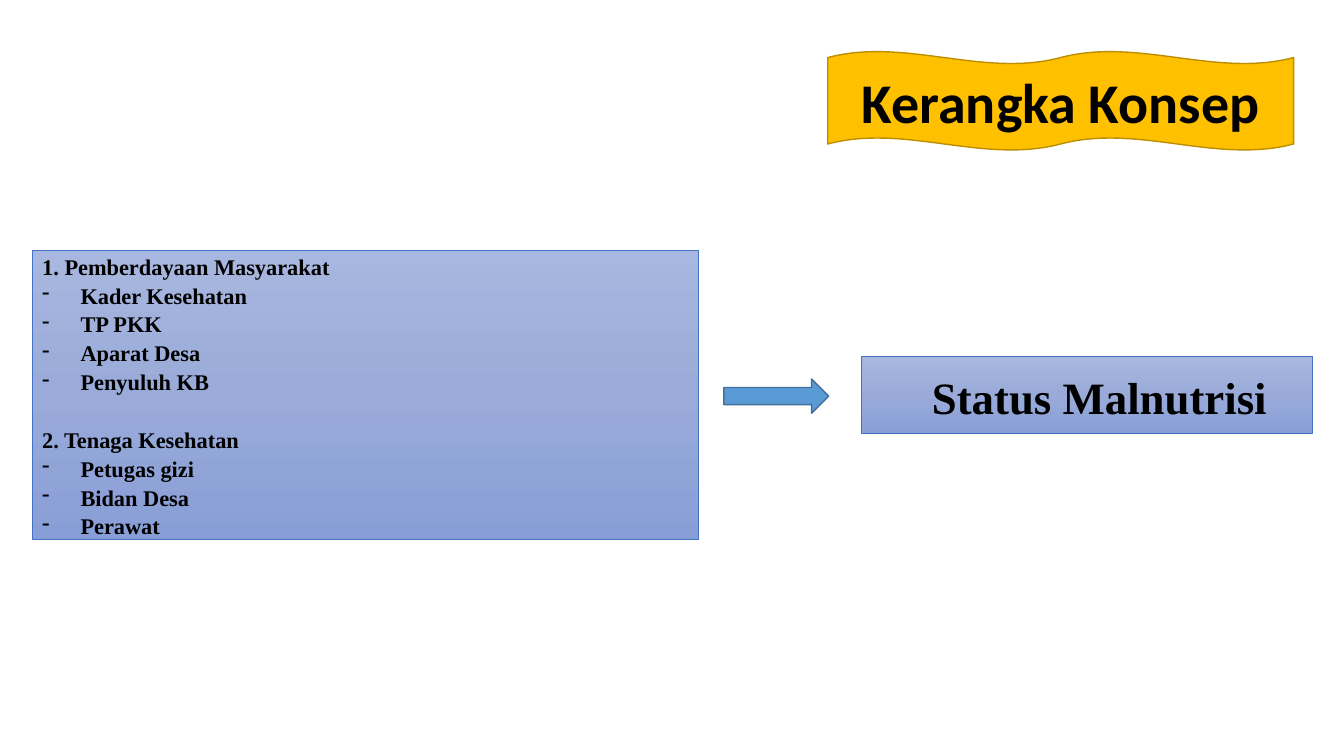
from pptx import Presentation
from pptx.dml.color import RGBColor
from pptx.enum.shapes import MSO_SHAPE as Preset
from pptx.enum.text import MSO_ANCHOR as Anchor, PP_ALIGN as Align
from pptx.oxml.ns import qn
from pptx.util import Inches, Pt
from copy import deepcopy
from lxml import etree

BLACK = RGBColor(0x00, 0x00, 0x00)
GOLD = RGBColor(0xFF, 0xC0, 0x00)
DARK_GOLD = RGBColor(0xBD, 0x8E, 0x00)
ARROW_BLUE = RGBColor(0x5B, 0x9B, 0xD5)
ARROW_EDGE = RGBColor(0x43, 0x71, 0x9E)
BOX_EDGE = RGBColor(0x44, 0x72, 0xC4)
BOX_SHADES = (
    (0, RGBColor(0xA8, 0xB7, 0xDF)),
    (0.5, RGBColor(0x9A, 0xAB, 0xD9)),
    (1, RGBColor(0x88, 0x9E, 0xD7)),
)
SERIF = "Times New Roman"
LINE_PITCH = Pt(20.6)

FACTORS = (
    ("1. Pemberdayaan Masyarakat",
     ("Kader Kesehatan", "TP PKK", "Aparat Desa", "Penyuluh KB")),
    ("2. Tenaga Kesehatan",
     ("Petugas gizi", "Bidan Desa", "Perawat")),
)


def add_outlined(slide, preset, place, edge, width):
    shape = slide.shapes.add_shape(preset, *map(Inches, place))
    shape.shadow.inherit = False
    shape.line.color.rgb = edge
    shape.line.width = Pt(width)
    return shape


def add_solid(slide, preset, place, color, edge):
    shape = add_outlined(slide, preset, place, edge, 1)
    shape.fill.solid()
    shape.fill.fore_color.rgb = color
    return shape


def add_shaded_box(slide, place):
    """Add a rectangle shaded from light at the top to dark at the bottom."""
    box = add_outlined(slide, Preset.RECTANGLE, place, BOX_EDGE, 0.5)
    box.fill.gradient()
    box.fill.gradient_angle = 270
    stop_list = box.fill._fill._gradFill.find(qn("a:gsLst"))
    stop_list.insert(1, deepcopy(stop_list[0]))
    for stop, (position, color) in zip(box.fill.gradient_stops, BOX_SHADES):
        stop.position = position
        stop.color.rgb = color
    return box


def write(para, text, size, font, align):
    para.text = text
    para.alignment = align
    span = para.runs[0]
    span.font.name = font
    span.font.size = Pt(size)
    span.font.bold = True
    span.font.color.rgb = BLACK


def add_dash(para):
    """Give the paragraph a dash bullet with a hanging indent."""
    props = para._p.get_or_add_pPr()
    props.set("marL", str(Inches(0.38)))
    props.set("indent", str(-Inches(0.38)))
    etree.SubElement(props, qn("a:buChar")).set("char", "-")


def add_factors(slide):
    frame = add_shaded_box(slide, (0.32, 2.48, 6.61, 2.87)).text_frame
    frame.vertical_anchor = Anchor.TOP
    frame.margin_top = frame.margin_bottom = Inches(0.01)
    for number, (heading, members) in enumerate(FACTORS):
        para = frame.add_paragraph() if number else frame.paragraphs[0]
        write(para, heading, 16, SERIF, Align.JUSTIFY)
        para.line_spacing = LINE_PITCH
        if number:
            para.space_before = LINE_PITCH
        for member in members:
            para = frame.add_paragraph()
            write(para, member, 16, SERIF, Align.JUSTIFY)
            para.line_spacing = LINE_PITCH
            add_dash(para)


def add_outcome(slide):
    box = add_shaded_box(slide, (8.54, 3.54, 4.48, 0.76))
    para = box.text_frame.paragraphs[0]
    write(para, "Status Malnutrisi", 32, SERIF, Align.CENTER)
    para.line_spacing = 1.07
    para._p.get_or_add_pPr().set("marL", str(Inches(0.25)))


def main():
    deck = Presentation()
    deck.slide_width, deck.slide_height = Inches(13.33), Inches(7.5)
    slide = deck.slides.add_slide(deck.slide_layouts[6])

    banner = add_solid(slide, Preset.DOUBLE_WAVE, (8.21, 0.51, 4.62, 0.98),
                       GOLD, DARK_GOLD)
    write(banner.text_frame.paragraphs[0], "Kerangka Konsep", 40, "Calibri",
          Align.CENTER)
    add_factors(slide)
    add_outcome(slide)
    add_solid(slide, Preset.RIGHT_ARROW, (7.18, 3.76, 1.04, 0.34),
              ARROW_BLUE, ARROW_EDGE)
    deck.save("out.pptx")


if __name__ == "__main__":
    main()
